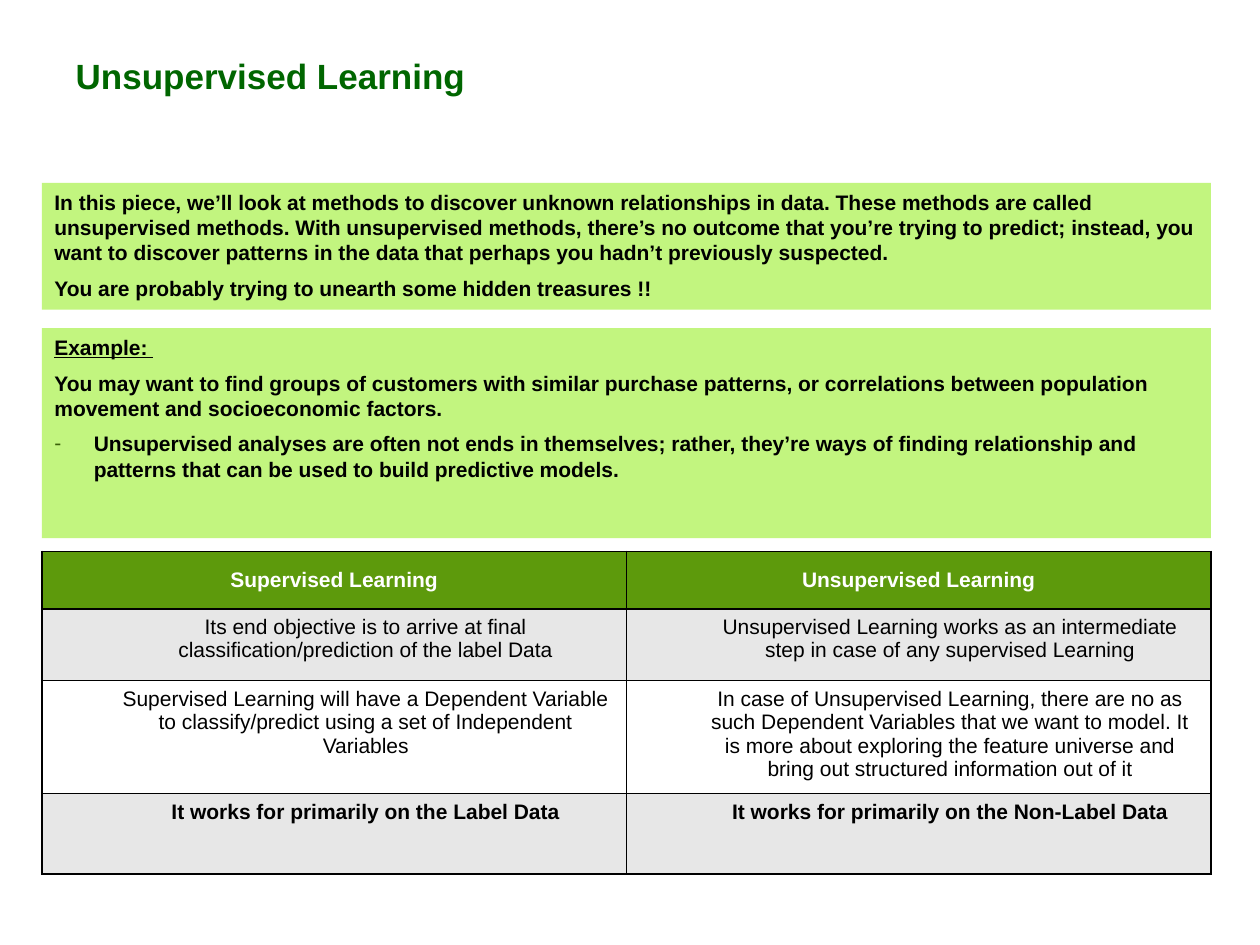
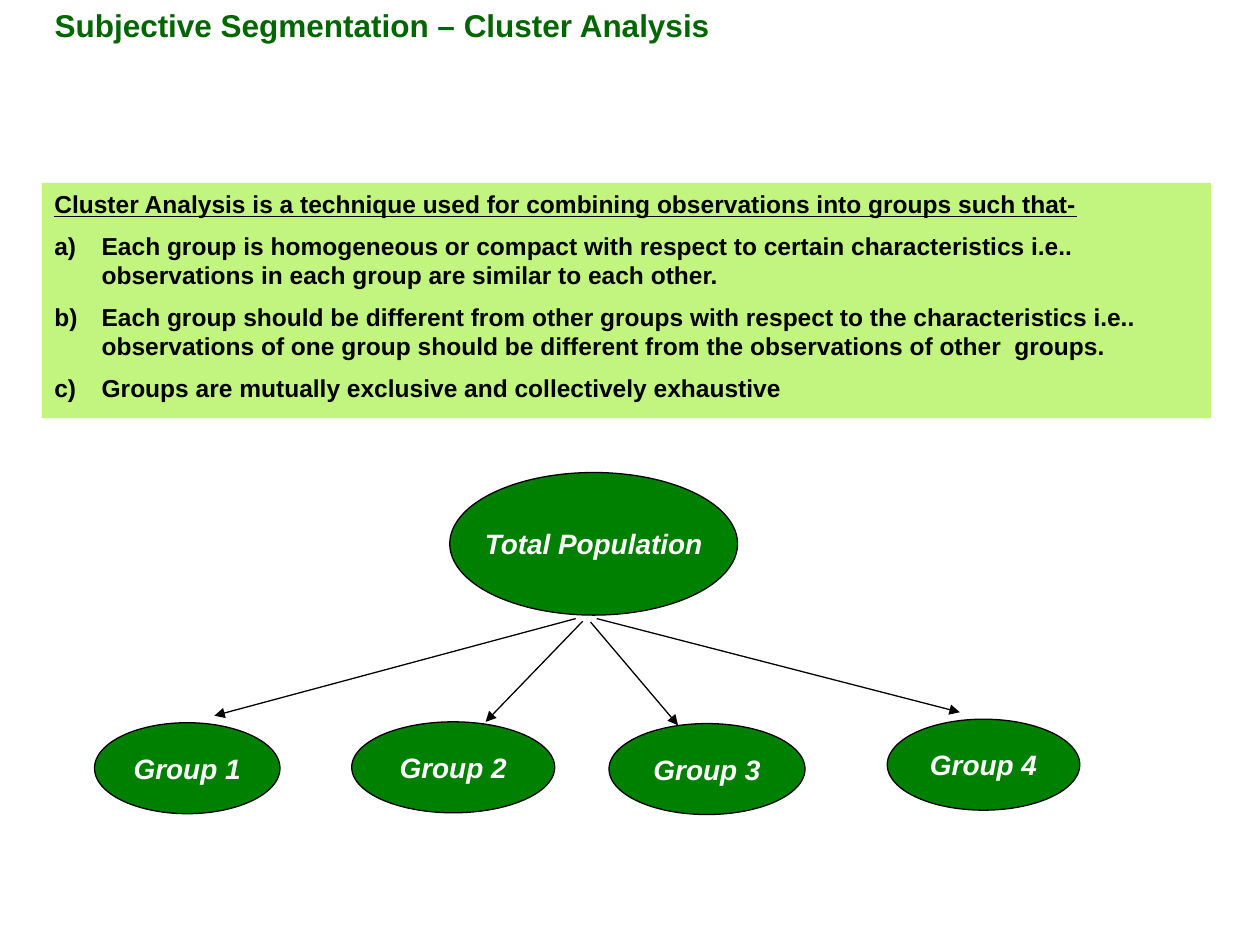
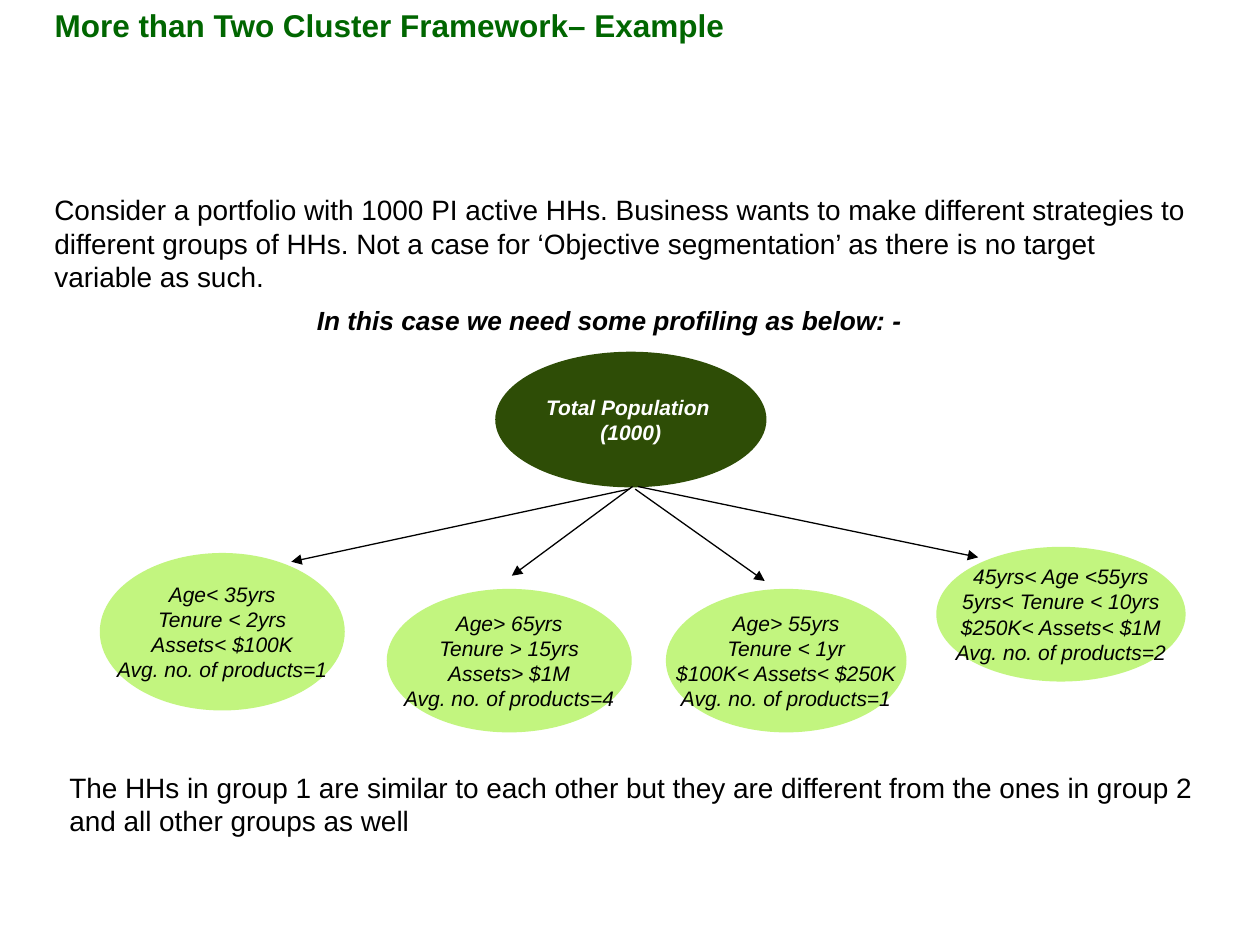
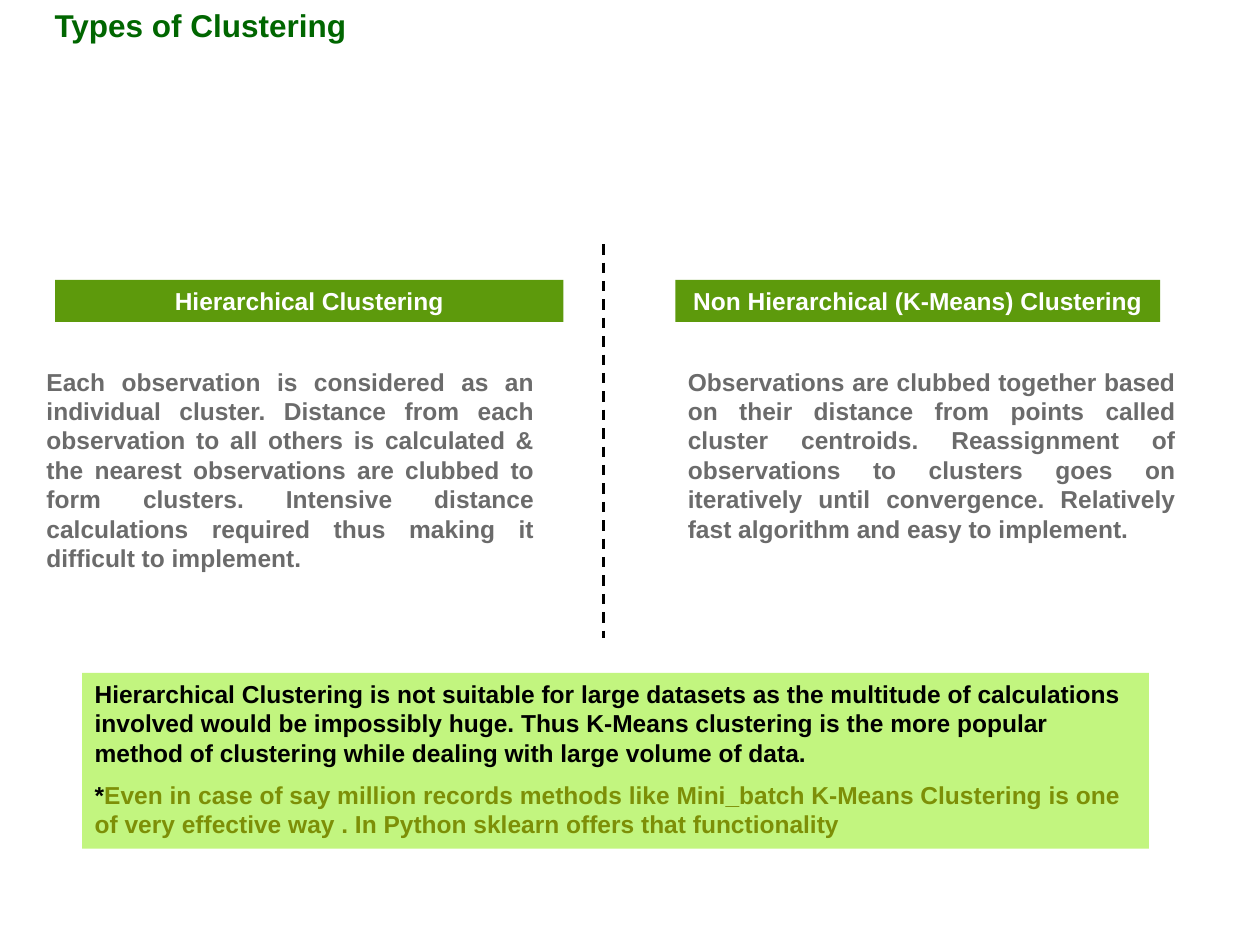
"""Build four slides on unsupervised learning and clustering."""
from dataclasses import dataclass, replace
from typing import NamedTuple

from lxml import etree
from pptx import Presentation
from pptx.dml.color import RGBColor
from pptx.enum.dml import MSO_LINE
from pptx.enum.shapes import MSO_CONNECTOR, MSO_SHAPE
from pptx.enum.text import MSO_ANCHOR, MSO_AUTO_SIZE, PP_ALIGN
from pptx.oxml.ns import qn
from pptx.util import Pt

LEFT, CENTER, JUSTIFY = PP_ALIGN.LEFT, PP_ALIGN.CENTER, PP_ALIGN.JUSTIFY
TOP, MIDDLE = MSO_ANCHOR.TOP, MSO_ANCHOR.MIDDLE
RECTANGLE, OVAL = MSO_SHAPE.RECTANGLE, MSO_SHAPE.OVAL
STRAIGHT = MSO_CONNECTOR.STRAIGHT
TITLE_ONLY = 5


@dataclass(frozen=True)
class Theme:
    """Hold the colours, font and type sizes of all slides."""
    font: str = "Arial"
    title: str = "006600"
    panel: str = "C2F57F"
    band: str = "5D9A0C"
    node: str = "008000"
    dark_node: str = "2E4D06"
    bullet: str = "3A6008"
    remark: str = "7D8F07"
    grey: str = "6B6B6B"
    stripe: str = "E7E7E7"
    black: str = "000000"
    white: str = "FFFFFF"
    small: float = 12
    medium: float = 14
    lead: float = 15
    large: float = 16
    heading: float = 18
    main_heading: float = 20
    thin: float = 0.75
    border: float = 1
    divider: float = 1.5


THEME = Theme()


class Box(NamedTuple):
    """Describe an area in points."""
    left: float
    top: float
    width: float
    height: float

    def inside(self, outer):
        """Shift this box by the corner of an outer box."""
        return Box(outer.left + self.left, outer.top + self.top, self.width, self.height)

    def lengths(self):
        """Return the four measures as lengths."""
        return [Pt(value) for value in self]


@dataclass(frozen=True)
class Style:
    """Describe how a run of text looks."""
    size: float
    color: str = THEME.black
    bold: bool = False
    italic: bool = False
    underline: bool = False


@dataclass(frozen=True)
class Item:
    """Describe a paragraph of (text, style) runs."""
    runs: tuple
    indent: float = 0
    hanging: float = 0
    bullet: str = ""
    level: int = 0


SMALL_BOLD = Style(THEME.small, bold=True)
MEDIUM_BOLD = Style(THEME.medium, bold=True)
BAND_TEXT = replace(MEDIUM_BOLD, color=THEME.white)
LARGE = Style(THEME.large)
TITLE_BOX = Box(24, 0, 672, 78)
CONTENT_LEFT, CONTENT_WIDTH = 24, 668


def plain(text, style, **layout):
    """Make a paragraph with a single run."""
    return Item(((text, style),), **layout)


def rgb(color):
    """Turn a hex colour into an RGBColor."""
    return RGBColor.from_string(color)


def add_bullet(properties, bullet):
    """Give a paragraph a dash or an automatic letter."""
    if bullet == "-":
        color = etree.SubElement(properties, qn("a:buClr"))
        etree.SubElement(color, qn("a:srgbClr"), val=THEME.bullet)
        etree.SubElement(properties, qn("a:buFont"), typeface=THEME.font)
        etree.SubElement(properties, qn("a:buChar"), char=bullet)
    else:
        etree.SubElement(properties, qn("a:buFont"), typeface=THEME.font)
        etree.SubElement(properties, qn("a:buAutoNum"), type=bullet)


def write(frame, items, align=LEFT, gap=0.5):
    """Fill a text frame, with gaps in parts of the type size."""
    for index, item in enumerate(items):
        paragraph = frame.paragraphs[0] if index == 0 else frame.add_paragraph()
        paragraph.alignment = align
        paragraph.level = item.level
        paragraph.space_before = Pt(gap * item.runs[0][1].size if index else 0)
        properties = paragraph._p.get_or_add_pPr()
        properties.set("marL", str(Pt(item.indent)))
        properties.set("indent", str(Pt(-item.hanging)))
        if item.bullet:
            add_bullet(properties, item.bullet)
        for text, style in item.runs:
            run = paragraph.add_run()
            run.text = text
            font = run.font
            font.name, font.size = THEME.font, Pt(style.size)
            font.color.rgb = rgb(style.color)
            font.bold, font.italic = style.bold, style.italic
            font.underline = style.underline


def add_title(slide, text, size=THEME.heading, box=TITLE_BOX, anchor=TOP):
    """Place and fill the title placeholder."""
    title = slide.shapes.title
    title.left, title.top, title.width, title.height = box.lengths()
    frame = title.text_frame
    frame.auto_size = MSO_AUTO_SIZE.NONE
    frame.word_wrap = True
    frame.vertical_anchor = anchor
    write(frame, [plain(text, Style(size, THEME.title, bold=True))])


def add_filled(shapes, kind, box, fill, items, align=LEFT, outline=None):
    """Add a filled shape; ovals hold centred, unwrapped lines."""
    shape = shapes.add_shape(kind, *box.lengths())
    shape.shadow.inherit = False
    shape.fill.solid()
    shape.fill.fore_color.rgb = rgb(fill)
    if outline:
        shape.line.color.rgb = rgb(outline)
        shape.line.width = Pt(THEME.thin)
    else:
        shape.line.fill.background()
    oval = kind == OVAL
    shape.text_frame.word_wrap = not oval
    shape.text_frame.vertical_anchor = MIDDLE if oval else TOP
    write(shape.text_frame, items, align, gap=0 if oval else 0.5)


def add_text(slide, box, text, style, align=LEFT):
    """Add a wrapped text box with one paragraph."""
    frame = slide.shapes.add_textbox(*box.lengths()).text_frame
    frame.word_wrap = True
    write(frame, [plain(text, style)], align)


def add_line(shapes, start, end, width):
    """Add a black straight line without a shadow."""
    line = shapes.add_connector(STRAIGHT, *[Pt(value) for value in (*start, *end)])
    line.line.color.rgb = rgb(THEME.black)
    line.line.width = Pt(width)
    etree.SubElement(line._element.spPr, qn("a:effectLst"))
    return line


def add_arrow(shapes, start, end):
    """Add a thin line that ends in a triangle."""
    arrow = add_line(shapes, start, end, THEME.thin)
    outline = arrow.line._get_or_add_ln()
    etree.SubElement(outline, qn("a:tailEnd"), type="triangle")


@dataclass(frozen=True)
class Look:
    """Describe the nodes of a tree."""
    root_fill: str
    leaf_fill: str
    root_style: Style
    leaf_style: Style
    outline: str = ""


def add_tree(slide, box, look, root, leaves, arrows):
    """Group a root oval, its arrows and its leaf ovals within a box."""
    shapes = slide.shapes.add_group_shape().shapes

    def add_node(node, fill, style):
        """Add one oval with a paragraph per line."""
        place, lines = node
        items = [plain(line, style) for line in lines]
        add_filled(shapes, OVAL, place.inside(box), fill, items, CENTER, look.outline)

    add_node(root, look.root_fill, look.root_style)
    for start, end in arrows:
        add_arrow(shapes, *[(box.left + x, box.top + y) for x, y in (start, end)])
    for leaf in leaves:
        add_node(leaf, look.leaf_fill, look.leaf_style)


def add_cell_borders(cell):
    """Draw a solid black line on each side of a cell."""
    properties = cell._tc.get_or_add_tcPr()
    for side in ("a:lnL", "a:lnR", "a:lnT", "a:lnB"):
        line = etree.SubElement(properties, qn(side), w=str(Pt(THEME.border)))
        fill = etree.SubElement(line, qn("a:solidFill"))
        etree.SubElement(fill, qn("a:srgbClr"), val=THEME.black)


def add_comparison(slide, box, row_heights, rows):
    """Add the two-column table with a header and striped rows."""
    table = slide.shapes.add_table(len(rows), len(rows[0]), *box.lengths()).table
    for column in table.columns:
        column.width = Pt(box.width / len(rows[0]))
    for index, (height, texts) in enumerate(zip(row_heights, rows)):
        table.rows[index].height = Pt(height)
        header, last = index == 0, index == len(rows) - 1
        fill = THEME.band if header else THEME.stripe if index % 2 else THEME.white
        style = Style(THEME.small, THEME.white if header else THEME.black, bold=header or last)
        layout = {} if header else {"level": 1, "indent": 36}
        for column, text in enumerate(texts):
            cell = table.cell(index, column)
            add_cell_borders(cell)
            cell.fill.solid()
            cell.fill.fore_color.rgb = rgb(fill)
            cell.vertical_anchor = MIDDLE if header else TOP
            write(cell.text_frame, [plain(text, style, **layout)], CENTER)


def build_overview(slide):
    """Fill the slide that introduces unsupervised learning."""
    add_title(slide, "Unsupervised Learning", THEME.main_heading, Box(36, 27, 580, 32), MIDDLE)
    add_filled(slide.shapes, RECTANGLE, Box(CONTENT_LEFT, 104.5, CONTENT_WIDTH, 72.5), THEME.panel, [
        plain("In this piece, we’ll look at methods to discover unknown relationships in data. "
              "These methods are called unsupervised methods. With unsupervised methods, there’s "
              "no outcome that you’re trying to predict; instead, you want to discover patterns "
              "in the data that perhaps you hadn’t previously suspected.", SMALL_BOLD),
        plain("You are probably trying to unearth some hidden treasures !!", SMALL_BOLD),
    ])
    add_filled(slide.shapes, RECTANGLE, Box(CONTENT_LEFT, 187.5, CONTENT_WIDTH, 120), THEME.panel, [
        plain("Example: ", replace(SMALL_BOLD, underline=True)),
        plain("You may want to find groups of customers with similar purchase patterns, or "
              "correlations between population movement and socioeconomic factors.", SMALL_BOLD),
        plain("Unsupervised analyses are often not ends in themselves; rather, they’re ways of "
              "finding relationship and patterns that can be used to build predictive models.",
              SMALL_BOLD, indent=22.5, hanging=22.5, bullet="-"),
    ])
    add_comparison(slide, Box(CONTENT_LEFT, 315, CONTENT_WIDTH, 184.5), (33, 41, 64.5, 46), (
        ("Supervised Learning", "Unsupervised Learning"),
        ("Its end objective is to arrive at final classification/prediction of the label Data",
         "Unsupervised Learning works as an intermediate step in case of any supervised Learning"),
        ("Supervised Learning will have a Dependent Variable to classify/predict using a set of "
         "Independent Variables",
         "In case of Unsupervised Learning, there are no as such Dependent Variables that we want "
         "to model. It is more about exploring the feature universe and bring out structured "
         "information out of it"),
        ("It works for primarily on the Label Data",
         "It works for primarily on the Non-Label Data"),
    ))


def build_cluster_analysis(slide):
    """Fill the slide that defines cluster analysis."""
    add_title(slide, "Subjective Segmentation – Cluster Analysis")
    rules = (
        "Each group is homogeneous or compact with respect to certain characteristics i.e.. "
        "observations in each group are similar to each other.",
        "Each group should be different from other groups with respect to the characteristics "
        "i.e.. observations of one group should be different from the observations of other  groups.",
        "Groups are mutually exclusive and collectively exhaustive",
    )
    add_filled(slide.shapes, RECTANGLE, Box(CONTENT_LEFT, 104.5, CONTENT_WIDTH, 134.5), THEME.panel, [
        plain("Cluster Analysis is a technique used for combining observations into groups "
              "such that-", replace(MEDIUM_BOLD, underline=True)),
        *[plain(rule, MEDIUM_BOLD, indent=27, hanging=27, bullet="alphaLcParenR")
          for rule in rules],
    ])
    node_text = Style(THEME.large, THEME.white, bold=True, italic=True)
    places = (Box(0, 143, 106, 52), Box(147, 142.5, 116, 52),
              Box(294, 143.5, 112, 52), Box(453, 141, 110, 52))
    add_tree(
        slide, Box(54, 270, 563, 195.5),
        Look(THEME.node, THEME.node, node_text, node_text, THEME.black),
        (Box(203, 0, 164.5, 81.5), ["Total Population"]),
        [(place, [f"Group {number}"]) for number, place in enumerate(places, 1)],
        (((275, 83.5), (68.5, 139)), ((279, 85), (223.5, 142.5)),
         ((283.5, 85.5), (333.5, 144.5)), ((287, 83.5), (494.5, 137))),
    )


def build_cluster_example(slide):
    """Fill the slide that profiles four clusters."""
    add_title(slide, "More than Two Cluster Framework– Example")
    add_text(slide, Box(CONTENT_LEFT, 106.5, CONTENT_WIDTH, 65.5),
             "Consider a portfolio with 1000 PI active HHs. Business wants to make different "
             "strategies to different groups of HHs. Not a case for ‘Objective segmentation’ as "
             "there is no target variable as such.", LARGE)
    add_text(slide, Box(32.5, 436.5, CONTENT_WIDTH, 46),
             "The HHs in group 1 are similar to each other but they are different from the ones "
             "in group 2 and all other groups as well", LARGE)
    add_text(slide, Box(174, 170.5, 364.5, 25), "In this case we need some profiling as below: -",
             Style(THEME.lead, bold=True, italic=True))
    add_tree(
        slide, Box(57, 201, 620.5, 217.5),
        Look(THEME.dark_node, THEME.panel,
             Style(THEME.small, THEME.white, bold=True, italic=True),
             Style(THEME.small, italic=True)),
        (Box(226, 0, 155, 77.5), ["Total Population ", "(1000)"]),
        ((Box(0, 115, 140, 90),
          ["Age< 35yrs", "Tenure < 2yrs", "Assets< $100K", "Avg. no. of products=1"]),
         (Box(164, 135.5, 140, 82),
          ["Age> 65yrs", "Tenure > 15yrs", "Assets> $1M", "Avg. no. of products=4"]),
         (Box(323.5, 135.5, 137.5, 82),
          ["Age> 55yrs", "Tenure < 1yr", "$100K< Assets< $250K", "Avg. no. of products=1"]),
         (Box(478, 111.5, 142.5, 77),
          ["45yrs< Age <55yrs", "5yrs< Tenure < 10yrs", "$250K< Assets< $1M",
           "Avg. no. of products=2"])),
        (((302.5, 78.5), (109.5, 120)), ((307.5, 77), (502, 117.5)),
         ((304.5, 77), (235.5, 128)), ((306, 78.5), (380, 131))),
    )


def add_clustering_type(slide, band, body, heading, text):
    """Add a heading band with its justified explanation."""
    add_filled(slide.shapes, RECTANGLE, band, THEME.band, [plain(heading, BAND_TEXT)], CENTER)
    add_text(slide, body, text, replace(MEDIUM_BOLD, color=THEME.grey), JUSTIFY)


def build_clustering_types(slide):
    """Fill the slide that compares two types of clustering."""
    add_title(slide, "Types of Clustering")
    add_clustering_type(
        slide, Box(31.5, 160, 290.5, 24), Box(19.5, 206, 293, 124.5), "Hierarchical Clustering",
        "Each observation is considered as an individual cluster. Distance from each observation "
        "to all others is calculated & the nearest observations are clubbed to form clusters. "
        "Intensive distance calculations required thus making it difficult to implement.")
    add_clustering_type(
        slide, Box(386, 160, 277, 24), Box(386, 206, 293, 108.5),
        "Non Hierarchical (K-Means) Clustering",
        "Observations are clubbed together based on their distance from points called cluster "
        "centroids. Reassignment of observations to clusters goes on iteratively until "
        "convergence. Relatively fast algorithm and easy to implement.")
    add_filled(slide.shapes, RECTANGLE, Box(47, 384.5, 609.5, 100.5), THEME.panel, [
        plain("Hierarchical Clustering is not suitable for large datasets as the multitude of "
              "calculations involved would be impossibly huge. Thus K-Means clustering is the "
              "more popular method of clustering while dealing with large volume of data.",
              MEDIUM_BOLD),
        Item((("*", MEDIUM_BOLD),
              ("Even in case of say million records methods like Mini_batch K-Means Clustering is "
               "one of very effective way . In Python sklearn offers that functionality",
               replace(MEDIUM_BOLD, color=THEME.remark)))),
    ])
    divider = add_line(slide.shapes, (345, 139.5), (345, 364.5), THEME.divider)
    divider.line.dash_style = MSO_LINE.DASH


def main():
    """Build and save the presentation."""
    presentation = Presentation()
    presentation.slide_width, presentation.slide_height = Pt(720), Pt(540)
    layout = presentation.slide_layouts[TITLE_ONLY]
    for build in (build_overview, build_cluster_analysis,
                  build_cluster_example, build_clustering_types):
        build(presentation.slides.add_slide(layout))
    presentation.save("out.pptx")


if __name__ == "__main__":
    main()
